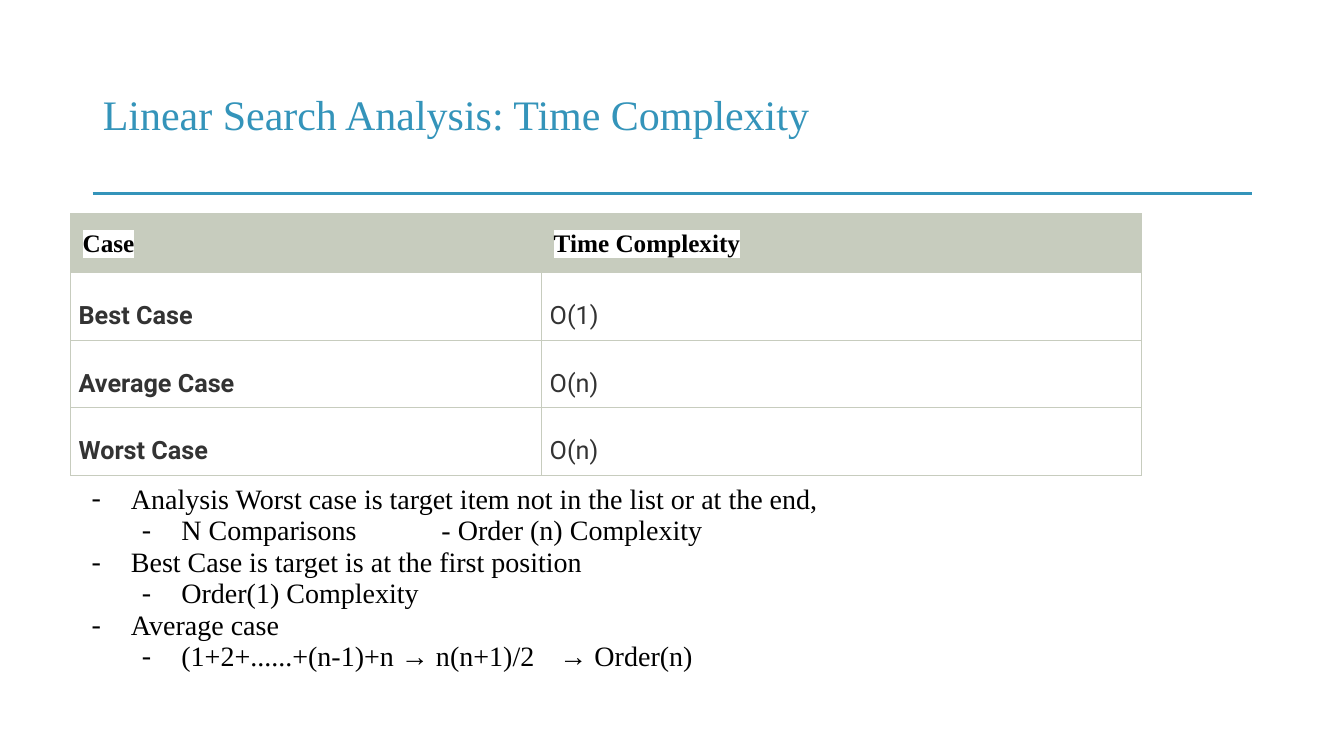
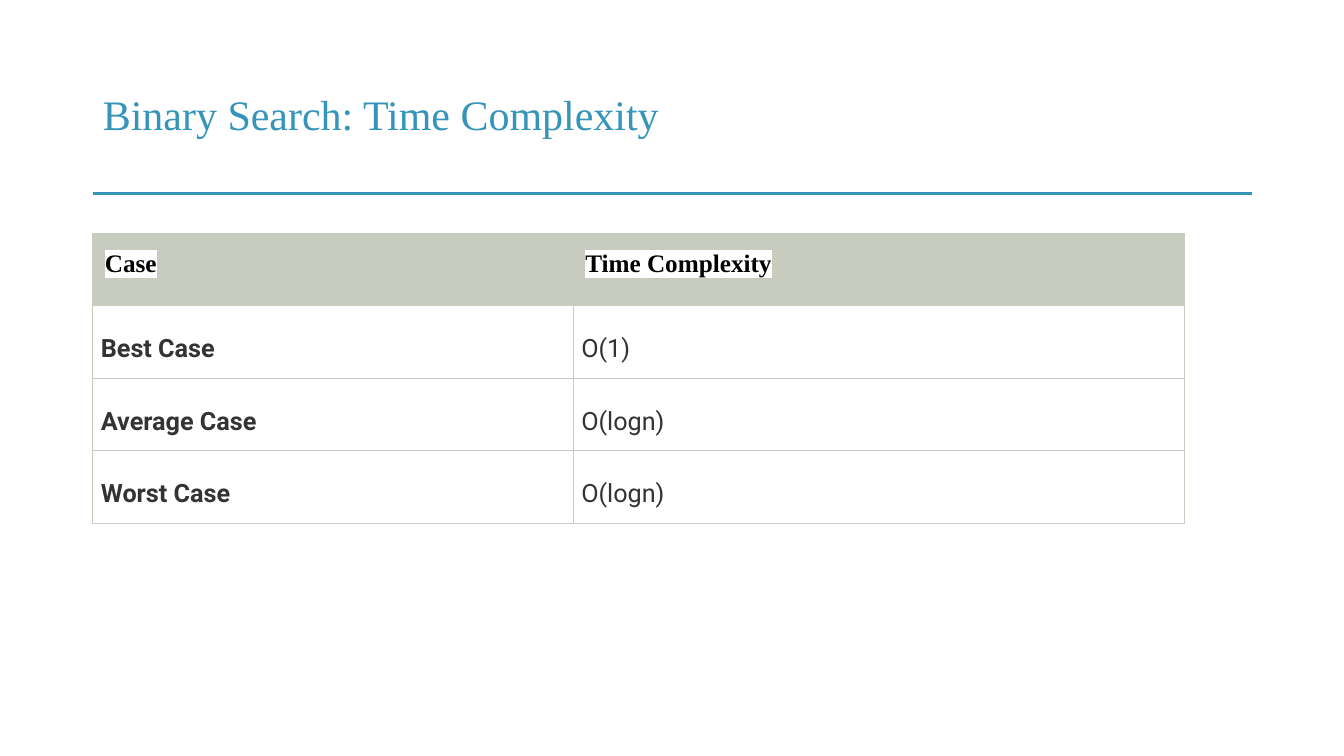
import pptx
import pptx.util
import pptx.dml.color
import pptx.enum.shapes
import pptx.enum.text
import pptx.oxml
import pptx.oxml.ns
import lxml.etree

Inch = pptx.util.Inches
Pt = pptx.util.Pt
qn = pptx.oxml.ns.qn
Align = pptx.enum.text.PP_ALIGN

# Shared look
TEAL, SAGE, WHITE, BLACK, GREY = "3494BA", "C7CCBE", "FFFFFF", "000000", "333333"
SERIF, SANS = "Times New Roman", "Roboto"
WIDE, HIGH = 13.33, 7.5
EDGE, SPAN, RULE = 0.92, 11.5, 1.92
SPLIT = 0.44

TITLE = dict(name=SERIF, size=Pt(30), bold=False, color=TEAL)
BODY = dict(name=SERIF, size=Pt(20), bold=False, color=BLACK)
HEAD = dict(name=SERIF, size=Pt(18), bold=True, color=BLACK)
LABEL = dict(name=SANS, size=Pt(18), bold=True, color=GREY)
VALUE = dict(LABEL, bold=False)


def tint(text):
    return pptx.dml.color.RGBColor.from_string(text)


def write(para, text, form, gap, align=Align.LEFT):
    para.line_spacing, para.alignment = gap, align
    run = para.add_run()
    run.text = text
    for key, val in form.items():
        if key == "color":
            run.font.color.rgb = tint(val)
        else:
            setattr(run.font, key, val)
    return run


# Content: title, table place (left, top, width), row heights, costs, notes
pages = [
    dict(title="Linear Search Analysis: Time Complexity",
         place=(0.7, 2.12, 10.62), rows=(0.57, 0.66), costs=("O(1)", "O(n)", "O(n)"),
         notes=[(1, "Analysis Worst case is target item not in the list or at the end,", None),
                (2, "N Comparisons\t- Order (n) Complexity", 3.58),
                (1, "Best Case is target is at the first position", None),
                (2, "Order(1) Complexity", None),
                (1, "Average case", None),
                (2, "(1+2+......+(n-1)+n → n(n+1)/2\t→ Order(n)", 4.75)]),
    dict(title="Binary Search: Time Complexity",
         place=(EDGE, 2.32, 10.83), rows=(0.71, 0.72), costs=("O(1)", "O(logn)", "O(logn)"),
         notes=[]),
]
cases = ("Best Case", "Average Case", "Worst Case")

deck = pptx.Presentation()
deck.slide_width, deck.slide_height = Inch(WIDE), Inch(HIGH)

for page in pages:
    slide = deck.slides.add_slide(deck.slide_layouts[5])

    # Title
    title = slide.shapes.title
    title.left, title.top = Inch(EDGE), Inch(0.43)
    title.width, title.height = Inch(SPAN), Inch(1.45)
    title.text_frame.vertical_anchor = pptx.enum.text.MSO_ANCHOR.MIDDLE
    title.text_frame.auto_size = pptx.enum.text.MSO_AUTO_SIZE.NONE
    write(title.text_frame.paragraphs[0], page["title"], TITLE, 0.9)

    # Rule below the title
    line = slide.shapes.add_connector(
        pptx.enum.shapes.MSO_CONNECTOR.STRAIGHT,
        Inch(EDGE), Inch(RULE), Inch(EDGE + SPAN), Inch(RULE))
    line.line.color.rgb, line.line.width = tint(TEAL), Pt(1.5)
    lxml.etree.SubElement(line._element.spPr, qn("a:effectLst"))

    # Notes
    if page["notes"]:
        box = slide.shapes.add_textbox(Inch(0.7), Inch(4.75), Inch(11.71), Inch(2.41))
        frame = box.text_frame
        frame.word_wrap = True
        for num, (level, text, stop) in enumerate(page["notes"]):
            para = frame.add_paragraph() if num else frame.paragraphs[0]
            write(para, text, BODY, 0.94)
            para.level = level - 1
            props = para._p.get_or_add_pPr()
            props.set("marL", str(Inch(0.5 * level)))
            props.set("indent", str(Inch(-0.39)))
            color = lxml.etree.SubElement(props, qn("a:buClr"))
            lxml.etree.SubElement(color, qn("a:srgbClr"), val=BLACK)
            lxml.etree.SubElement(props, qn("a:buFont"), typeface=SERIF)
            lxml.etree.SubElement(props, qn("a:buChar"), char="-")
            if stop:
                tabs = lxml.etree.SubElement(props, qn("a:tabLst"))
                lxml.etree.SubElement(tabs, qn("a:tab"), pos=str(Inch(stop)), algn="l")

    # Table
    left, top, width = page["place"]
    first, rest = page["rows"]
    data = [("Case", "Time Complexity"), *zip(cases, page["costs"])]
    grid = slide.shapes.add_table(len(data), 2, Inch(left), Inch(top),
                                  Inch(width), Inch(first + 3 * rest)).table
    for col, share in zip(grid.columns, (SPLIT, 1 - SPLIT)):
        col.width = Inch(width * share)
    for row, texts in enumerate(data):
        grid.rows[row].height = Inch(rest if row else first)
        for col, text in enumerate(texts):
            cell = grid.cell(row, col)
            para = cell.text_frame.paragraphs[0]
            if row:
                write(para, text, VALUE if col else LABEL, 1.7, Align.JUSTIFY)
            else:
                run = write(para, text, HEAD, 1.15)
                mark = lxml.etree.Element(qn("a:highlight"))
                lxml.etree.SubElement(mark, qn("a:srgbClr"), val=WHITE)
                run._r.rPr.find(qn("a:solidFill")).addnext(mark)
            for side in ("left", "right", "top", "bottom"):
                setattr(cell, "margin_" + side, Inch(0.08 if row else 0.12))
            cell.fill.solid()
            cell.fill.fore_color.rgb = tint(WHITE if row else SAGE)
            props = cell._tc.get_or_add_tcPr()
            for spot, side in enumerate(("lnL", "lnR", "lnT", "lnB")):
                edge = lxml.etree.Element(qn("a:" + side), w=str(Pt(0.75)))
                fill = lxml.etree.SubElement(edge, qn("a:solidFill"))
                lxml.etree.SubElement(fill, qn("a:srgbClr"), val=SAGE)
                props.insert(spot, edge)

deck.save("out.pptx")
